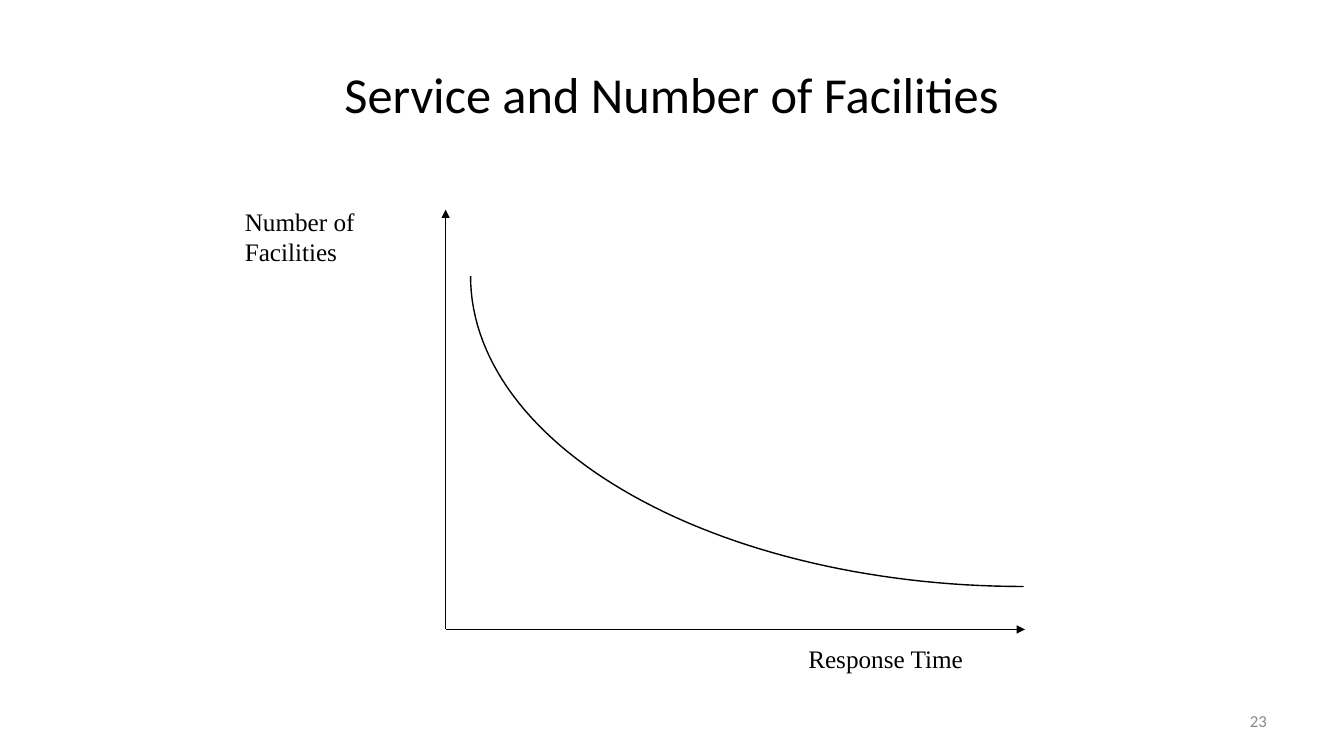
import math

from lxml import etree
from pptx import Presentation
from pptx.dml.color import RGBColor
from pptx.enum.shapes import MSO_CONNECTOR
from pptx.enum.text import MSO_ANCHOR, PP_ALIGN
from pptx.oxml.ns import qn
from pptx.util import Cm, Pt

STRAIGHT = MSO_CONNECTOR.STRAIGHT
TOP, MIDDLE = MSO_ANCHOR.TOP, MSO_ANCHOR.MIDDLE
LEFT, CENTER, RIGHT = PP_ALIGN.LEFT, PP_ALIGN.CENTER, PP_ALIGN.RIGHT

COLORS = {"ink": "000000", "page_number": "898989"}
HEADING_FONT, LABEL_FONT = "Calibri", "Times New Roman"

ORIGIN_X, ORIGIN_Y = 11.23, 15.86
AXIS_TOP, AXIS_RIGHT = 5.28, 25.83
CURVE_STEPS = 60


def add_text(slide, text, box, size, font, color="ink", align=LEFT, anchor=TOP):
    frame = slide.shapes.add_textbox(*(Cm(length) for length in box)).text_frame
    frame.word_wrap = True
    frame.vertical_anchor = anchor
    paragraph = frame.paragraphs[0]
    paragraph.text = text
    paragraph.alignment = align
    paragraph.font.size = Pt(size)
    paragraph.font.name = font
    paragraph.font.color.rgb = RGBColor.from_string(COLORS[color])


def style_line(line):
    line.color.rgb = RGBColor.from_string(COLORS["ink"])
    line.width = Pt(1)


def add_axis(slide, end_x, end_y):
    """Draw an arrow from the origin to the given end."""
    axis = slide.shapes.add_connector(
        STRAIGHT, Cm(ORIGIN_X), Cm(ORIGIN_Y), Cm(end_x), Cm(end_y))
    style_line(axis.line)
    properties = axis._element.spPr
    outline = properties.find(qn("a:ln"))
    etree.SubElement(outline, qn("a:tailEnd"), type="triangle")
    etree.SubElement(properties, qn("a:effectLst"))


def add_falling_curve(slide, left, top, width, height):
    """Draw the lower left quarter of an ellipse as an open line."""
    angles = [math.pi / 2 * step / CURVE_STEPS for step in range(CURVE_STEPS + 1)]
    points = [(Cm(left + width * (1 - math.cos(angle))),
               Cm(top + height * math.sin(angle))) for angle in angles]
    builder = slide.shapes.build_freeform(*points[0])
    builder.add_line_segments(points[1:], close=False)
    curve = builder.convert_to_shape()
    curve.shadow.inherit = False
    curve.fill.background()
    style_line(curve.line)


def main():
    presentation = Presentation()
    presentation.slide_width = Cm(33.87)
    presentation.slide_height = Cm(19.05)
    slide = presentation.slides.add_slide(presentation.slide_layouts[6])

    add_text(slide, "23", (24.28, 17.65, 7.9, 1.02), 12, HEADING_FONT,
             "page_number", RIGHT, MIDDLE)
    add_text(slide, "Service and Number of Facilities", (1.69, 0.76, 30.48, 3.18),
             36, HEADING_FONT, align=CENTER, anchor=MIDDLE)

    add_axis(slide, ORIGIN_X, AXIS_TOP)
    add_axis(slide, AXIS_RIGHT, ORIGIN_Y)
    add_text(slide, "Number of Facilities", (5.92, 5.08, 5.08, 1.78), 18, LABEL_FONT)
    add_text(slide, "Response Time", (20.12, 16.08, 6.15, 1.02), 18, LABEL_FONT)
    add_falling_curve(slide, 11.86, 6.96, 13.94, 7.82)

    presentation.save("out.pptx")


if __name__ == "__main__":
    main()
